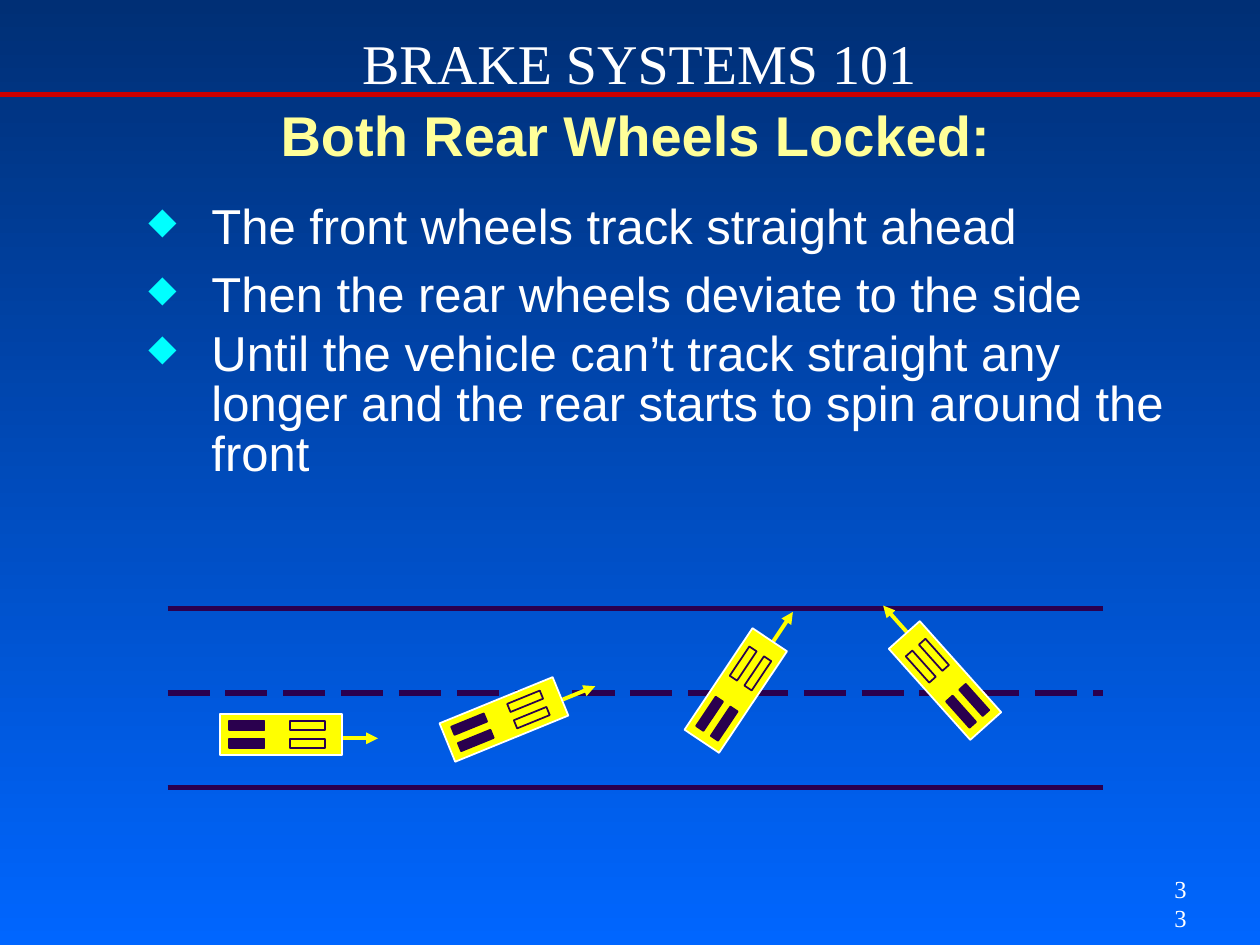
import math

from lxml import etree
from pptx import Presentation
from pptx.dml.color import RGBColor
from pptx.enum.dml import MSO_LINE
from pptx.enum.shapes import MSO_CONNECTOR, MSO_SHAPE
from pptx.enum.text import MSO_ANCHOR, PP_ALIGN
from pptx.oxml.ns import qn
from pptx.util import Inches, Pt

WHITE = RGBColor(0xFF, 0xFF, 0xFF)
YELLOW = RGBColor(0xFF, 0xFF, 0x00)
PALE_YELLOW = RGBColor(0xFF, 0xFF, 0x99)
RED = RGBColor(0xCC, 0x00, 0x00)
PURPLE = RGBColor(0x2A, 0x00, 0x4E)
TOP_BLUE = RGBColor(0x00, 0x2F, 0x75)
BOTTOM_BLUE = RGBColor(0x00, 0x66, 0xFF)
BULLET_COLOR = "00FFFF"
SERIF, SANS = "Times New Roman", "Arial"
LEFT, CENTER, RIGHT = PP_ALIGN.LEFT, PP_ALIGN.CENTER, PP_ALIGN.RIGHT
TOP, MIDDLE = MSO_ANCHOR.TOP, MSO_ANCHOR.MIDDLE
RECTANGLE, STRAIGHT = MSO_SHAPE.RECTANGLE, MSO_CONNECTOR.STRAIGHT
LONG_DASH = MSO_LINE.LONG_DASH

BULLETS = [
    ("The front wheels track straight ahead", 1.5, 7.17, 0.57, 1.0),
    ("Then the rear wheels deviate to the side", 2.04, 7.92, 0.57, 1.0),
    ("Until the vehicle can’t track straight any longer and the rear starts "
     "to spin around the front", 2.58, 8.42, 1.29, 0.85),
]
LANE_LINES = [(4.83, None), (5.5, LONG_DASH), (6.25, None)]
VEHICLES = [(2.23, 5.83, 0), (5.84, 5.48, 303.8), (4.0, 5.71, 337.8), (7.5, 5.4, 228.2)]

BODY_SIZE = (0.97, 0.33)
WHEEL_SIZE = (0.28, 0.07)
WHEEL_AXLES = [(-0.27, PURPLE), (0.21, None)]
WHEEL_OFFSET = 0.07
ARROW_START, ARROW_END, ARROW_OFFSET = 0.42, 0.77, 0.03


def add_text(page, text, place, font, size, color, align=LEFT, anchor=TOP, bold=False):
    box = page.shapes.add_textbox(*map(Inches, place))
    frame = box.text_frame
    frame.word_wrap = True
    frame.vertical_anchor = anchor
    frame.text = text
    para = frame.paragraphs[0]
    para.alignment = align
    span = para.runs[0]
    span.font.name = font
    span.font.size = Pt(size)
    span.font.bold = bold
    span.font.color.rgb = color
    return para


def set_indent(para, left, first=0):
    properties = para._p.get_or_add_pPr()
    properties.set("marL", str(Inches(left)))
    properties.set("indent", str(Inches(first)))
    return properties


def add_bullet(para):
    properties = set_indent(para, 0.5, -0.5)
    color = etree.SubElement(properties, qn("a:buClr"))
    etree.SubElement(color, qn("a:srgbClr"), val=BULLET_COLOR)
    etree.SubElement(properties, qn("a:buSzPct"), val="75000")
    etree.SubElement(properties, qn("a:buChar"), char="◆")


def add_line(shapes, start, end, color, width, dash=None, arrow=False):
    line = shapes.add_connector(STRAIGHT, *map(Inches, (*start, *end)))
    line.line.color.rgb = color
    line.line.width = Pt(width)
    if dash:
        line.line.dash_style = dash
    if arrow:
        etree.SubElement(line.line._get_or_add_ln(), qn("a:tailEnd"), type="triangle")
    etree.SubElement(line._element.spPr, qn("a:effectLst"))


def add_block(shapes, center, size, angle, fill, outline):
    left, top = (middle - length / 2 for middle, length in zip(center, size))
    block = shapes.add_shape(RECTANGLE, *map(Inches, (left, top, *size)))
    block.rotation = angle
    block.shadow.inherit = False
    if fill is None:
        block.fill.background()
    else:
        block.fill.solid()
        block.fill.fore_color.rgb = fill
    block.line.color.rgb = outline
    block.line.width = Pt(1)


def add_vehicle(page, x, y, angle):
    shapes = page.shapes.add_group_shape().shapes
    cosine, sine = math.cos(math.radians(angle)), math.sin(math.radians(angle))

    def turned(along, across):
        return x + along * cosine - across * sine, y + along * sine + across * cosine

    add_line(shapes, turned(ARROW_START, ARROW_OFFSET), turned(ARROW_END, ARROW_OFFSET),
             YELLOW, 2.25, arrow=True)
    add_block(shapes, (x, y), BODY_SIZE, angle, YELLOW, WHITE)
    for along, fill in WHEEL_AXLES:
        for across in (-WHEEL_OFFSET, WHEEL_OFFSET):
            add_block(shapes, turned(along, across), WHEEL_SIZE, angle, fill, PURPLE)


def main():
    deck = Presentation()
    deck.slide_width, deck.slide_height = Inches(10), Inches(7.5)
    page = deck.slides.add_slide(deck.slide_layouts[6])

    backdrop = page.background.fill
    backdrop.gradient()
    backdrop.gradient_angle = 270
    for stop, color in zip(backdrop.gradient_stops, (TOP_BLUE, BOTTOM_BLUE)):
        stop.color.rgb = color

    add_text(page, "BRAKE SYSTEMS 101", (1.78, 0.17, 6.59, 0.64), SERIF, 32, WHITE,
             CENTER, MIDDLE)
    add_line(page.shapes, (0, 0.75), (10, 0.75), RED, 3)
    add_text(page, "Both Rear Wheels Locked:", (1.17, 0.75, 7.75, 0.67), SANS, 32,
             PALE_YELLOW, CENTER, bold=True)

    for y, dash in LANE_LINES:
        add_line(page.shapes, (1.33, y), (8.75, y), PURPLE, 3, dash)
    for vehicle in VEHICLES:
        add_vehicle(page, *vehicle)

    for text, top, width, height, spacing in BULLETS:
        para = add_text(page, text, (1.08, top, width, height), SANS, 28, WHITE)
        add_bullet(para)
        para.line_spacing = spacing

    number = add_text(page, "33", (9.08, 7, 0.43, 0.34), SERIF, 14, WHITE, RIGHT, MIDDLE)
    set_indent(number, 0.24)

    deck.save("out.pptx")


if __name__ == "__main__":
    main()
